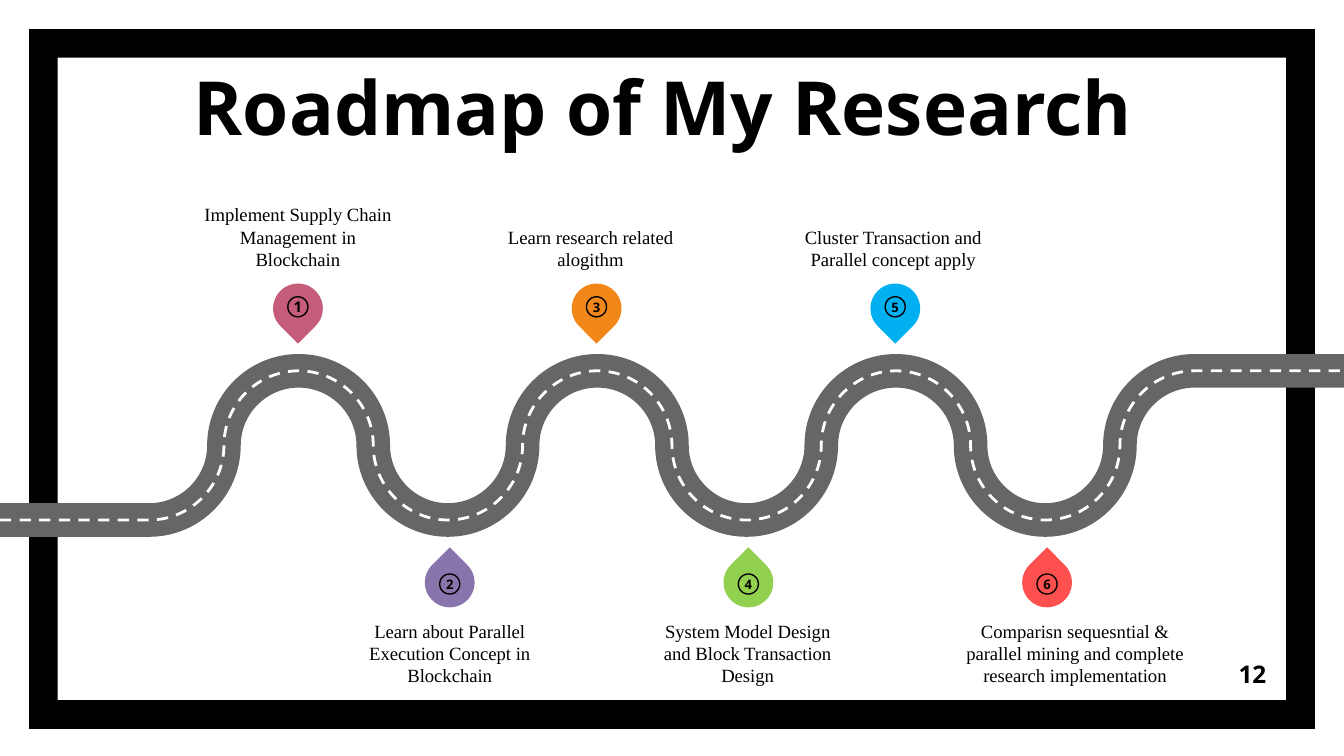
from pptx import Presentation
from pptx.dml.color import RGBColor
from pptx.enum.dml import MSO_LINE
from pptx.enum.shapes import MSO_SHAPE
from pptx.enum.text import MSO_ANCHOR, MSO_AUTO_SIZE, PP_ALIGN
from pptx.oxml.ns import qn
from pptx.util import Cm, Pt

FRAME, TEARDROP, OVAL = MSO_SHAPE.FRAME, MSO_SHAPE.TEAR, MSO_SHAPE.OVAL
TOP, MIDDLE, BOTTOM = MSO_ANCHOR.TOP, MSO_ANCHOR.MIDDLE, MSO_ANCHOR.BOTTOM
CENTER, RIGHT = PP_ALIGN.CENTER, PP_ALIGN.RIGHT
NO_AUTOFIT = MSO_AUTO_SIZE.NONE
DASH = MSO_LINE.DASH

SLIDE_WIDTH, SLIDE_HEIGHT = 25.4, 14.29
ROAD_STEP = SLIDE_WIDTH / 9
ROAD_TOP, ROAD_BOTTOM = 7.01, 9.83
ARC_HANDLE = 0.55
PIN_SIZE, BADGE_SIZE = 0.94, 0.38
HEADING_FONT, CAPTION_FONT = "Open Sans", "Times New Roman"
BLACK = "000000"

ABOVE = {"first_x": 5.63, "pin_y": 5.83, "badge_y": 5.8, "rotation": 135,
         "caption_y": 3.64, "anchor": BOTTOM}
BELOW = {"first_x": 8.5, "pin_y": 11.01, "badge_y": 11.04, "rotation": 315,
         "caption_y": 11.71, "anchor": TOP}

# (caption, pin colour, number size, caption left, caption width)
MILESTONES = [
    ("Implement Supply Chain Management in Blockchain", "C45C7A", 8, 3.84, 3.58),
    ("Learn about Parallel Execution Concept in Blockchain", "8775AB", 7, 6.71, 3.58),
    ("Learn research related alogithm", "F18718", 7, 9.37, 3.58),
    ("System Model Design and Block Transaction Design", "92D050", 7, 12.34, 3.58),
    ("Cluster Transaction and Parallel concept apply", "00B0F0", 7, 15.09, 3.58),
    ("Comparisn sequesntial & parallel mining and complete research implementation",
     "FF5050", 7, 17.98, 4.67),
]


def rgb(hex_code):
    """Turn a hex string into a colour."""
    return RGBColor.from_string(hex_code)


def apply_format(target, values):
    """Set every attribute named in a dict."""
    for name, value in values.items():
        setattr(target, name, value)


def write_text(holder, text, size, font=HEADING_FONT, bold=True,
               align=CENTER, anchor=MIDDLE, inset=0.0):
    """Write one formatted paragraph into a shape."""
    frame = holder.text_frame
    margins = dict.fromkeys(
        ("margin_left", "margin_top", "margin_right", "margin_bottom"), Cm(inset))
    apply_format(frame, {"text": text, "word_wrap": True, "auto_size": NO_AUTOFIT,
                         "vertical_anchor": anchor, **margins})
    paragraph = frame.paragraphs[0]
    paragraph.alignment = align
    run_font = paragraph.runs[0].font
    apply_format(run_font, {"name": font, "size": Pt(size), "bold": bold})
    run_font.color.rgb = rgb(BLACK)


def add_text(slide, box, text, size, **style):
    """Add a text box at a place given in centimetres."""
    write_text(slide.shapes.add_textbox(*map(Cm, box)), text, size, **style)


def add_filled(shapes, preset, box, fill, outline=None):
    """Add a flat preset shape with an optional thin outline."""
    shape = shapes.add_shape(preset, *map(Cm, box))
    shape.shadow.inherit = False
    shape.fill.solid()
    shape.fill.fore_color.rgb = rgb(fill)
    if outline:
        shape.line.color.rgb = rgb(outline)
        shape.line.width = Pt(0.75)
    else:
        shape.line.fill.background()
    return shape


def centered_box(center_x, center_y, size):
    """Return the square box around a centre."""
    return center_x - size / 2, center_y - size / 2, size, size


def road_bends():
    """Return the Bezier points of the seven bends, from left to right."""
    points = []
    radius, middle = ROAD_STEP / 2, (ROAD_TOP + ROAD_BOTTOM) / 2
    for bend in range(1, 8):
        start, end = bend * ROAD_STEP, (bend + 1) * ROAD_STEP
        levels = (ROAD_BOTTOM, ROAD_TOP)
        y_start, y_end = levels if bend % 2 else levels[::-1]
        center, reach = start + radius, ARC_HANDLE * radius
        points += [
            (start + reach, y_start),
            (center, middle + (y_start - middle) * ARC_HANDLE),
            (center, middle),
            (center, middle + (y_end - middle) * ARC_HANDLE),
            (end - reach, y_end),
            (end, y_end),
        ]
    return points


def add_road(slide, color, width, dash=None):
    """Draw the winding road as one open curve."""
    vertices = [(ROAD_STEP, ROAD_BOTTOM), *road_bends(), (SLIDE_WIDTH, ROAD_TOP)]
    builder = slide.shapes.build_freeform(Cm(0), Cm(ROAD_BOTTOM))
    builder.add_line_segments([(Cm(x), Cm(y)) for x, y in vertices], close=False)
    road = builder.convert_to_shape()
    bend_steps = list(road.element.iter(qn("a:lnTo")))[1:-1]
    for control, second, end in zip(*[iter(bend_steps)] * 3):
        control.tag = qn("a:cubicBezTo")
        for step in (second, end):
            control.append(step[0])
            step.getparent().remove(step)
    road.shadow.inherit = False
    road.fill.background()
    road.line.color.rgb = rgb(color)
    apply_format(road.line, {"width": Pt(width), "dash_style": dash})


def add_milestone(slide, index, caption, color, number_size, left, width):
    """Add a numbered pin and its caption above or below the road."""
    lane = BELOW if index % 2 else ABOVE
    center_x = lane["first_x"] + index // 2 * 2 * ROAD_STEP
    marker = slide.shapes.add_group_shape().shapes
    pin = add_filled(marker, TEARDROP,
                     centered_box(center_x, lane["pin_y"], PIN_SIZE), color)
    pin.rotation = lane["rotation"]
    badge = add_filled(marker, OVAL,
                       centered_box(center_x, lane["badge_y"], BADGE_SIZE), color, BLACK)
    write_text(badge, str(index + 1), number_size)
    add_text(slide, (left, lane["caption_y"], width, 1.47), caption, 10,
             font=CAPTION_FONT, bold=False, anchor=lane["anchor"])


def add_title(slide, text):
    """Place and format the title."""
    title = slide.shapes.title
    apply_format(title, {"left": Cm(2.41), "top": Cm(1.37),
                         "width": Cm(20.24), "height": Cm(1.73)})
    write_text(title, text, 40, anchor=BOTTOM, inset=0.25)


def main():
    """Build the roadmap slide."""
    deck = Presentation()
    apply_format(deck, {"slide_width": Cm(SLIDE_WIDTH), "slide_height": Cm(SLIDE_HEIGHT)})
    slide = deck.slides.add_slide(deck.slide_layouts[5])
    border = add_filled(slide.shapes, FRAME, (0.55, 0.55, 24.3, 13.23), BLACK)
    border.adjustments[0] = 0.041
    add_title(slide, "Roadmap of My Research")
    add_text(slide, (22.66, 12.19, 1.52, 1.09), "12", 13, align=RIGHT, inset=0.25)
    add_road(slide, "666666", 18)
    add_road(slide, "FFFFFF", 1.5, DASH)
    for index, milestone in enumerate(MILESTONES):
        add_milestone(slide, index, *milestone)
    deck.save("out.pptx")


if __name__ == "__main__":
    main()
